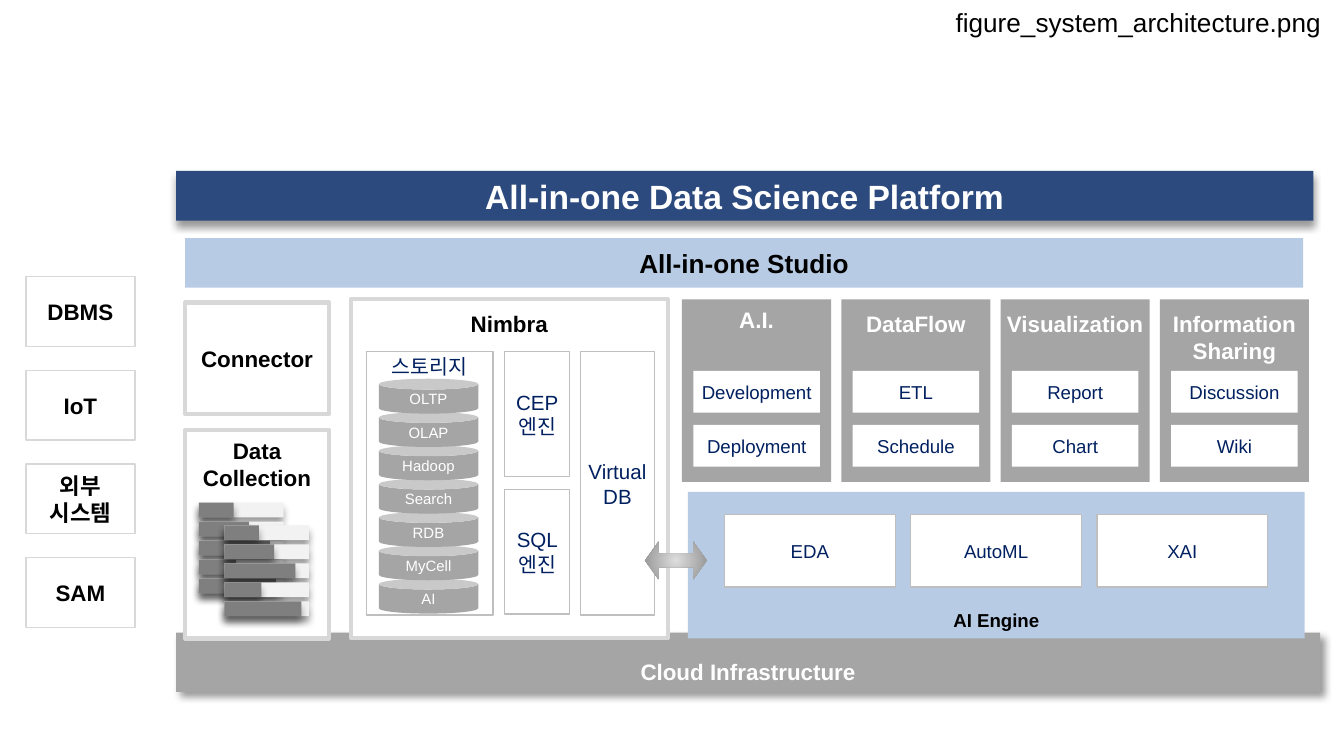
import pptx
import pptx.dml.color
import pptx.enum.shapes
import pptx.enum.text
import pptx.oxml
import pptx.oxml.ns
import pptx.util

Cm, Pt = pptx.util.Cm, pptx.util.Pt
SHAPES = pptx.enum.shapes.MSO_SHAPE
ANCHOR = pptx.enum.text.MSO_ANCHOR
ALIGN = pptx.enum.text.PP_ALIGN

# Content
FILE_NAME = "figure_system_architecture.png"
TITLE = "All-in-one Data Science Platform"
STUDIO = "All-in-one Studio"
CLOUD = "Cloud Infrastructure"
SOURCES = ["DBMS", "IoT", "외부\n시스템", "SAM"]
COLLECTION_LEVELS = [0.41, 0.59, 0.84, 0.44, 0.91]
COLLECTION_STACKS = [(3.76, 9.5), (4.24, 9.93)]
DATABASE = "Nimbra"
STORES = ["OLTP", "OLAP", "Hadoop", "Search", "RDB", "MyCell", "AI"]
DATABASE_PARTS = [  # text, (left, top, width, height), anchor
    ("스토리지", (6.93, 6.65, 2.39, 4.98), "top"),
    ("Virtual\nDB", (10.97, 6.65, 1.4, 4.98), "middle"),
    ("CEP 엔진", (9.53, 6.65, 1.24, 2.36), "middle"),
    ("SQL 엔진", (9.53, 9.25, 1.24, 2.36), "middle"),
]
MODULES = [  # heading, top inset, tiles
    ("A.I.", 0.13, ["Development", "Deployment"]),
    ("DataFlow", 0.2, ["ETL", "Schedule"]),
    ("Visualization", 0.2, ["Report", "Chart"]),
    ("Information\nSharing", 0.2, ["Discussion", "Wiki"]),
]
ENGINE = "AI Engine"
ENGINE_TOOLS = ["EDA", "AutoML", "XAI"]

THEME = {
    "font": "Arial",
    "navy": "2C4A7E", "ink": "002060", "sky": "B7CCE4",
    "black": "000000", "white": "FFFFFF", "gray": "A5A5A5",
    "edge": "D8D8D8", "border": "BFBFBF",
    "bar": "7F7F7F", "track": "F2F2F2",
    "arrow_light": "DDDDDD", "arrow_dark": "919191",
    "title": 18, "studio": 14, "heading": 12, "part": 11, "tile": 10, "store": 8,
}
ANCHORS = {"top": ANCHOR.TOP, "middle": ANCHOR.MIDDLE, "bottom": ANCHOR.BOTTOM}


def color(name):
    return pptx.dml.color.RGBColor.from_string(THEME[name])


def write(shape, text, size, ink, bold=False, anchor="middle", insets=(0, 0, 0, 0),
          align=ALIGN.CENTER, wrap=True):
    frame = shape.text_frame
    frame.word_wrap = wrap
    frame.auto_size = pptx.enum.text.MSO_AUTO_SIZE.NONE
    frame.vertical_anchor = ANCHORS[anchor]
    (frame.margin_left, frame.margin_top,
     frame.margin_right, frame.margin_bottom) = [Cm(inset) for inset in insets]
    for index, line in enumerate(text.split("\n")):
        paragraph = frame.add_paragraph() if index else frame.paragraphs[0]
        paragraph.alignment = align
        run = paragraph.add_run()
        run.text = line
        run.font.name = THEME["font"]
        run.font.size = Pt(THEME[size])
        run.font.bold = bold
        run.font.color.rgb = color(ink)


def style(shape, fill=None, line=None, line_width=0.75, shadow_angle=None):
    if fill:
        shape.fill.solid()
        shape.fill.fore_color.rgb = color(fill)
    else:
        shape.fill.background()
    if line:
        shape.line.color.rgb = color(line)
        shape.line.width = Pt(line_width)
    else:
        shape.line.fill.background()
    shape.shadow.inherit = False
    if shadow_angle is not None:
        effects = shape._element.spPr.find(pptx.oxml.ns.qn("a:effectLst"))
        effects.append(pptx.oxml.parse_xml(
            f'<a:outerShdw {pptx.oxml.ns.nsdecls("a")} blurRad="{Pt(4)}" dist="{Pt(3)}" '
            f'dir="{shadow_angle * 60000}" algn="tl" rotWithShape="0">'
            f'<a:srgbClr val="{THEME["black"]}"><a:alpha val="40000"/></a:srgbClr>'
            '</a:outerShdw>'))


def add_box(slide, box, fill=None, kind=SHAPES.RECTANGLE, **options):
    shape = slide.shapes.add_shape(kind, *[Cm(length) for length in box])
    style(shape, fill, **options)
    return shape


def add_title(slide):
    title = slide.shapes.title
    title.left, title.top, title.width, title.height = Cm(3.33), Cm(3.23), Cm(21.49), Cm(0.94)
    style(title, "navy", shadow_angle=90)
    write(title, TITLE, "title", "white", bold=True)


def add_collection(slide):
    frame = {"line": "edge", "line_width": 2.25}
    insets = (0.13,) * 4
    panel = add_box(slide, (3.5, 8.13, 2.72, 3.94), "white", **frame)
    write(panel, "Data\nCollection", "heading", "black", True, "top", insets)
    connector_panel = add_box(slide, (3.5, 5.72, 2.72, 2.11), "white", **frame)
    write(connector_panel, "Connector", "heading", "black", True, insets=insets)
    for left, top in COLLECTION_STACKS:
        for row, level in enumerate(COLLECTION_LEVELS):
            for fill, share in (("track", 1), ("bar", level)):
                add_box(slide, (left, top + row * 0.36, 1.6 * share, 0.28), fill,
                        shadow_angle=90)


def add_database(slide):
    panel = add_box(slide, (6.63, 5.66, 5.99, 6.4), "white", line="edge", line_width=2.25)
    write(panel, DATABASE, "heading", "black", True, "top", (0, 0.2, 0, 0))
    for text, box, anchor in DATABASE_PARTS:
        part = add_box(slide, box, "white", line="border")
        write(part, text, "part", "ink", anchor=anchor, insets=(0.05,) * 4)
    # Later cylinders stand lower; the bottom one is drawn first
    for row, text in reversed(list(enumerate(STORES))):
        store = add_box(slide, (7.16, 7.16 + row * 0.63, 1.88, 0.66), "gray", SHAPES.CAN)
        store.adjustments[0] = 0.31
        write(store, text, "store", "white")


def add_modules(slide):
    width, tile_width = 2.82, 2.39
    for column, (heading, inset, tiles) in enumerate(MODULES):
        left = 12.89 + column * 3.01
        panel = add_box(slide, (left, 5.66, width, 3.45), "gray")
        write(panel, heading, "heading", "white", True, "top", (0.05, inset, 0.05, 0.13))
        for row, text in enumerate(tiles):
            tile = add_box(slide, (left + (width - tile_width) / 2, 7.01 + row * 1.02,
                                   tile_width, 0.79), "white")
            write(tile, text, "tile", "ink", insets=(0.05,) * 4)


def add_engine(slide):
    panel = add_box(slide, (13, 9.3, 11.66, 2.77), "sky")
    write(panel, ENGINE, "tile", "black", True, "bottom", (0.05, 0.13, 0.05, 0.13))
    for column, text in enumerate(ENGINE_TOOLS):
        tool = add_box(slide, (13.69 + column * 3.52, 9.73, 3.23, 1.37), "white", line="border")
        write(tool, text, "tile", "ink", insets=(0.05,) * 4)


def add_exchange_arrow(slide):
    arrow = add_box(slide, (12.19, 10.24, 1.17, 0.71), kind=SHAPES.LEFT_RIGHT_ARROW)
    arrow.adjustments[0] = arrow.adjustments[1] = 0.36
    arrow.fill.gradient()
    for stop, position, name in zip(arrow.fill.gradient_stops, (0, 1),
                                    ("arrow_light", "arrow_dark")):
        stop.position = position
        stop.color.rgb = color(name)
    # Radial gradient from the centre
    gradient = arrow._element.spPr.find(pptx.oxml.ns.qn("a:gradFill"))
    gradient.replace(gradient.find(pptx.oxml.ns.qn("a:lin")), pptx.oxml.parse_xml(
        f'<a:path {pptx.oxml.ns.nsdecls("a")} path="circle">'
        '<a:fillToRect l="50000" t="50000" r="50000" b="50000"/></a:path>'))


def main():
    presentation = pptx.Presentation()
    presentation.slide_width, presentation.slide_height = Cm(25.4), Cm(14.29)
    slide = presentation.slides.add_slide(presentation.slide_layouts[5])

    # Title, studio and cloud bands
    add_title(slide)
    cloud = add_box(slide, (3.33, 11.96, 21.62, 1.12), "gray", shadow_angle=45)
    write(cloud, CLOUD, "heading", "white", True, "bottom", (0.13,) * 4)
    studio = add_box(slide, (3.5, 4.5, 21.13, 0.94), "sky")
    write(studio, STUDIO, "studio", "black", True, insets=(0.05, 0.13, 0.05, 0.13))

    # Source systems
    for row, text in enumerate(SOURCES):
        source = add_box(slide, (0.49, 5.23 + row * 1.77, 2.06, 1.32), line="edge")
        write(source, text, "heading", "black", True)

    # Platform parts
    add_collection(slide)
    add_database(slide)
    add_engine(slide)
    add_exchange_arrow(slide)
    add_modules(slide)

    # File name
    label = slide.shapes.add_textbox(Cm(17.81), Cm(0), Cm(7.42), Cm(0.84))
    write(label, FILE_NAME, "studio", "black", anchor="top",
          insets=(0.25, 0.13, 0.25, 0.13), align=ALIGN.LEFT, wrap=False)

    presentation.save("out.pptx")


if __name__ == "__main__":
    main()
